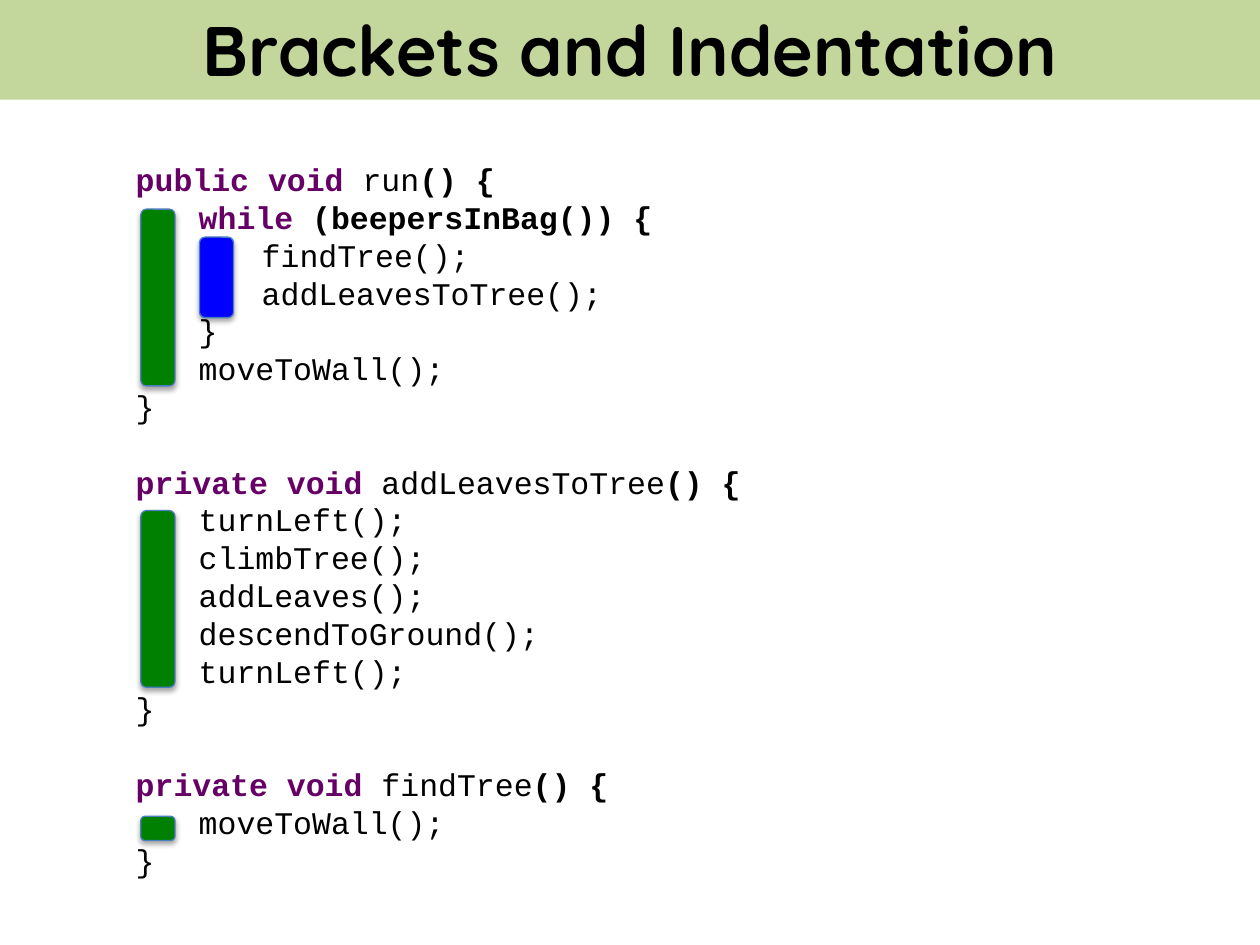
"""Build a slide that shows how brackets and indentation match in code."""
from dataclasses import dataclass

from lxml import etree
from pptx import Presentation
from pptx.dml.color import RGBColor
from pptx.enum.shapes import MSO_SHAPE
from pptx.enum.text import MSO_ANCHOR, MSO_AUTO_SIZE, PP_ALIGN
from pptx.oxml.ns import qn
from pptx.util import Pt

ROUNDED = MSO_SHAPE.ROUNDED_RECTANGLE
MIDDLE = MSO_ANCHOR.MIDDLE
CENTER = PP_ALIGN.CENTER
NO_FIT = MSO_AUTO_SIZE.NONE

BLACK = RGBColor(0x00, 0x00, 0x00)
PURPLE = RGBColor(0x66, 0x00, 0x66)
GREEN = RGBColor(0x00, 0x80, 0x00)
BLUE = RGBColor(0x00, 0x00, 0xFF)
BAND = RGBColor(0xC3, 0xD6, 0x9B)
OUTLINE = RGBColor(0x4B, 0x7E, 0xBC)

LINE_HEIGHT = 21.6
INDENT = 36
BAR_LEFT = 80.5
BAR_STEP = 33.5
BAR_WIDTH = 19.5


@dataclass
class CodeLine:
    level: int = 0
    keyword: str = ""
    plain: str = ""
    strong: str = ""


@dataclass
class Bar:
    level: int
    top: float
    height: float
    color: RGBColor


METHODS = [
    [
        CodeLine(0, "public void ", "run", "() {"),
        CodeLine(1, "while", strong=" (beepersInBag()) {"),
        CodeLine(2, plain="findTree();"),
        CodeLine(2, plain="addLeavesToTree();"),
        CodeLine(1, plain="}"),
        CodeLine(1, plain="moveToWall();"),
        CodeLine(plain="}"),
    ],
    [
        CodeLine(0, "private void ", "addLeavesToTree", "() {"),
        CodeLine(1, plain="turnLeft();"),
        CodeLine(1, plain="climbTree();"),
        CodeLine(1, plain="addLeaves();"),
        CodeLine(1, plain="descendToGround();"),
        CodeLine(1, plain="turnLeft();"),
        CodeLine(plain="}"),
    ],
    [
        CodeLine(0, "private void ", "findTree", "() {"),
        CodeLine(1, plain="moveToWall();"),
        CodeLine(plain="}"),
    ],
]
BARS = [
    Bar(0, 119.5, 101, GREEN),
    Bar(1, 135.5, 46, BLUE),
    Bar(0, 291.75, 101, GREEN),
    Bar(0, 466.5, 13.75, GREEN),
]


def set_all(target, values: dict) -> None:
    """Set every attribute named in values on target."""
    for name, value in values.items():
        setattr(target, name, value)


def add_span(para, text: str, color: RGBColor, **font) -> None:
    """Append one formatted run to a paragraph."""
    span = para.add_run()
    span.text = text
    set_all(span.font, font)
    span.font.color.rgb = color


def add_tab_stops(para) -> None:
    """Give a paragraph one tab stop for each level of indentation."""
    stops = etree.SubElement(para._p.get_or_add_pPr(), qn("a:tabLst"))
    for level in (1, 2):
        etree.SubElement(stops, qn("a:tab"), pos=str(Pt(INDENT * level)), algn="l")


def add_title(page, text: str) -> None:
    """Turn the title placeholder into a coloured band."""
    title = page.shapes.title
    set_all(title, {"left": Pt(0), "top": Pt(-2), "width": Pt(720), "height": Pt(59)})
    title.fill.solid()
    title.fill.fore_color.rgb = BAND
    frame = title.text_frame
    set_all(frame, {"vertical_anchor": MIDDLE, "auto_size": NO_FIT, "word_wrap": True})
    para = frame.paragraphs[0]
    para.alignment = CENTER
    add_span(para, text, BLACK, name="Quicksand", size=Pt(40), bold=True)


def add_code(page, methods: list[list[CodeLine]]) -> None:
    """Write all methods in one text box, one line apart."""
    box = page.shapes.add_textbox(Pt(70.5), Pt(88), Pt(360), Pt(422))
    frame = box.text_frame
    frame.word_wrap = True
    para = frame.paragraphs[0]
    for method_index, method in enumerate(methods):
        for line_index, line in enumerate(method):
            if method_index or line_index:
                para = frame.add_paragraph()
            if method_index and not line_index:
                para.space_before = Pt(LINE_HEIGHT)
            para.line_spacing = Pt(LINE_HEIGHT)
            add_tab_stops(para)
            tabs = "\t" * line.level
            parts = [
                (line.keyword, PURPLE, True),
                (line.plain, BLACK, False),
                (line.strong, BLACK, True),
            ]
            for text, color, bold in parts:
                if text:
                    add_span(para, tabs + text, color, name="Courier New",
                             size=Pt(18), bold=bold)
                    tabs = ""


def add_bar(page, bar: Bar) -> None:
    """Draw a rounded bar with a soft shadow beside a block of code."""
    left = BAR_LEFT + BAR_STEP * bar.level
    shape = page.shapes.add_shape(
        ROUNDED, Pt(left), Pt(bar.top), Pt(BAR_WIDTH), Pt(bar.height))
    shape.fill.solid()
    shape.fill.fore_color.rgb = bar.color
    shape.line.color.rgb = OUTLINE
    shape.line.width = Pt(0.75)
    shape.shadow.inherit = False
    effects = shape._element.spPr.find(qn("a:effectLst"))
    shadow = etree.SubElement(
        effects, qn("a:outerShdw"), blurRad=str(Pt(3.1)), dist=str(Pt(1.8)),
        dir="5400000", rotWithShape="0")
    color = etree.SubElement(shadow, qn("a:srgbClr"), val=str(BLACK))
    etree.SubElement(color, qn("a:alpha"), val="35000")


def main() -> None:
    """Assemble and save the slide."""
    deck = Presentation()
    set_all(deck, {"slide_width": Pt(720), "slide_height": Pt(540)})
    page = deck.slides.add_slide(deck.slide_layouts[5])
    add_title(page, "Brackets and Indentation")
    add_code(page, METHODS)
    for bar in BARS:
        add_bar(page, bar)
    deck.save("out.pptx")


if __name__ == "__main__":
    main()
